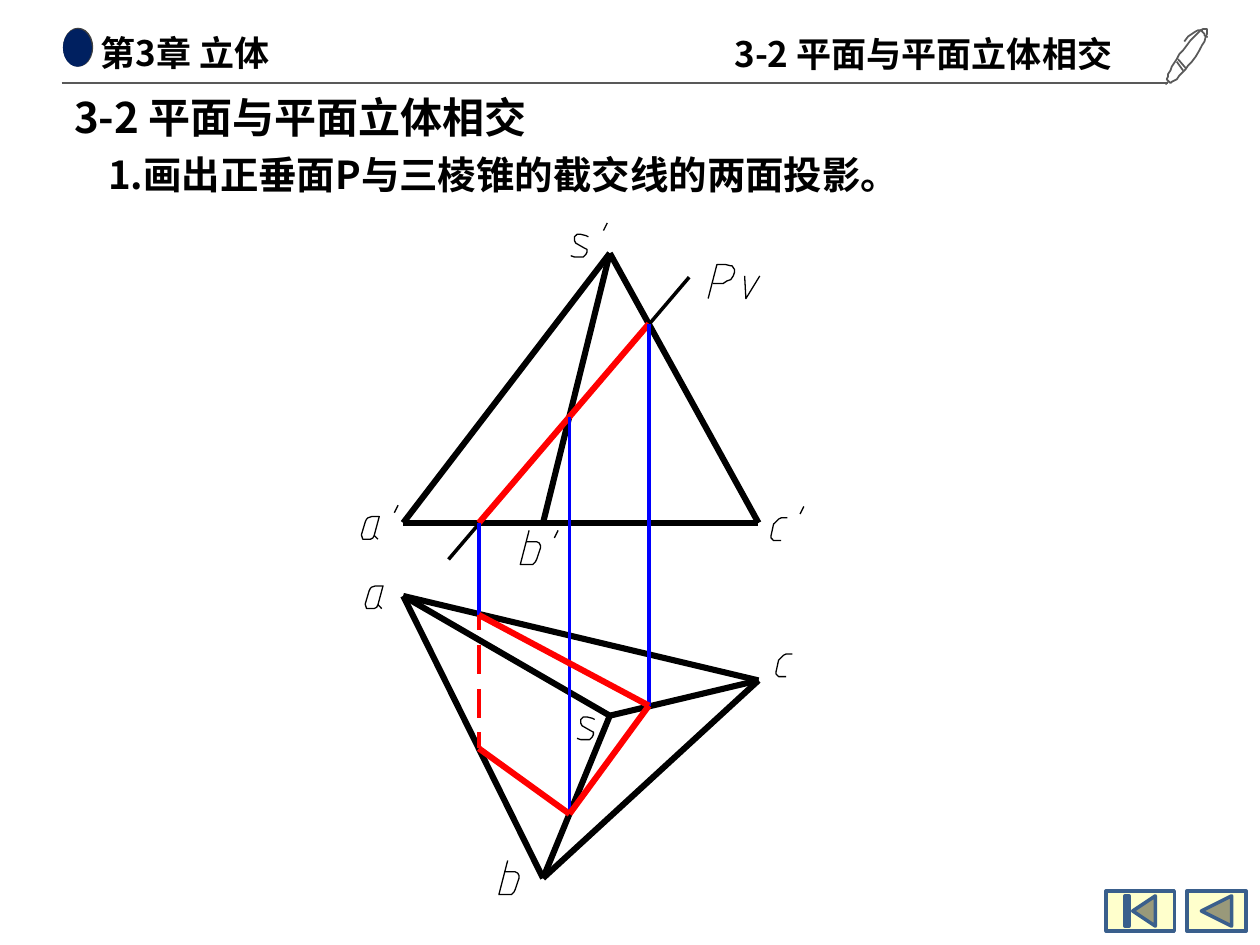
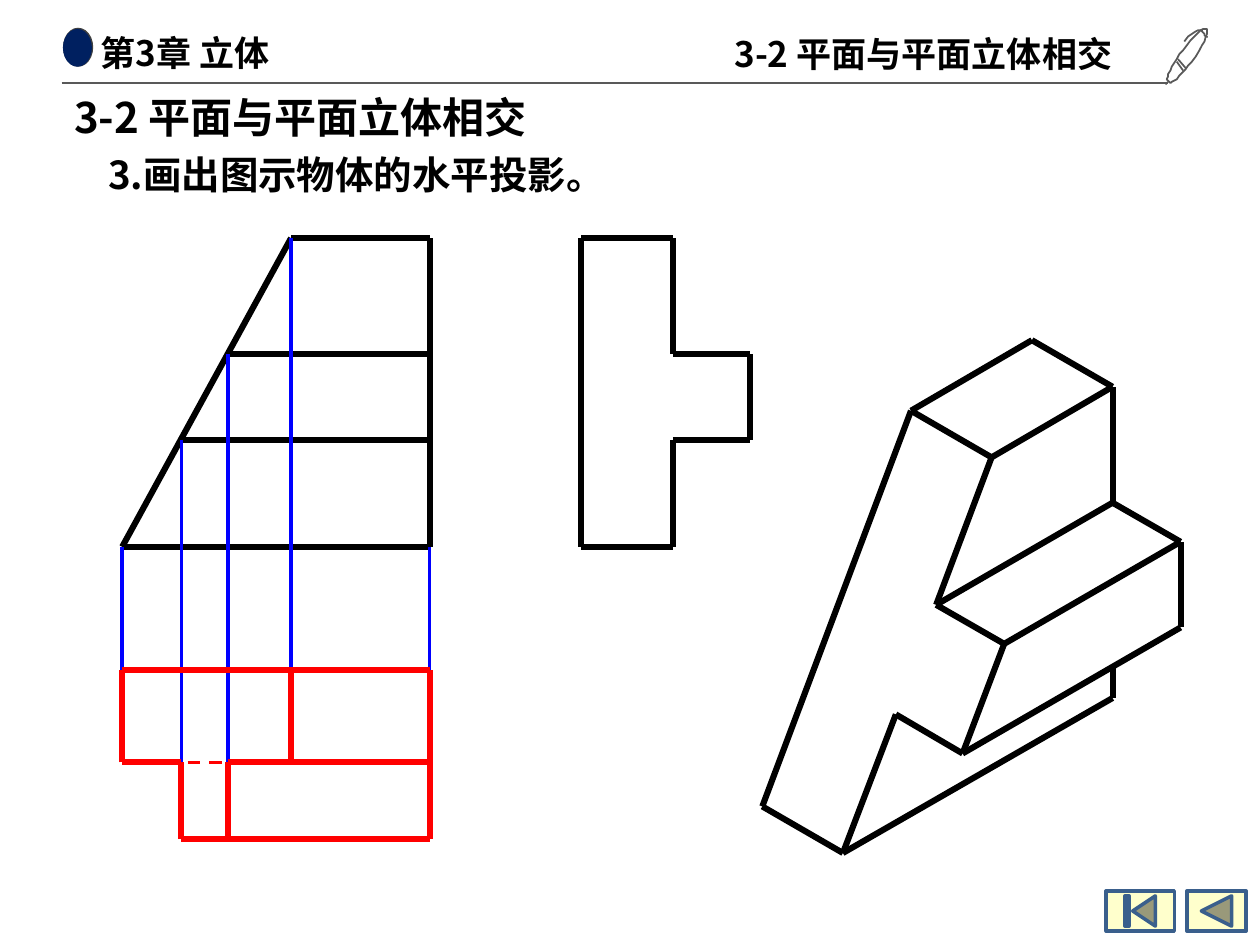
from itertools import pairwise
from lxml import etree
from pptx import Presentation
from pptx import util as u
from pptx.dml.color import RGBColor
from pptx.enum import shapes, text
from pptx.oxml.ns import qn

PX = 9144
FONT = "Noto Sans CJK SC"
COLOURS = {
    "ink": "000000", "cut": "FF0000", "projection": "0000FF", "rule": "595959",
    "dot": "002060", "dot_rim": "404040", "button": "FFFFCC", "button_edge": "3A5F8C",
}
THICK, HAIR = 3.5, 0

CHAPTER = "第3章 立体"
SECTION = "3-2 平面与平面立体相交"
BUTTONS = [
    (shapes.MSO_SHAPE.ACTION_BUTTON_BACK_OR_PREVIOUS, (942, 707, 47, 32)),
    (shapes.MSO_SHAPE.ACTION_BUTTON_BEGINNING, (878, 707, 54, 32)),
]
PEN = [
    [(939, 56), (934, 49)],
    [(935, 47), (941, 54)],
    [(958, 23), (956, 21), (948, 28), (939, 40), (932, 49), (927, 58), (926, 63),
     (929, 66), (929, 66), (929, 66), (932, 65), (939, 58), (946, 49),
     (955, 37), (960, 26), (958, 23)],
    [(927, 65), (925, 67)],
    [(958, 30), (958, 30), (955, 27), (954, 24), (954, 24), (950, 21), (940, 33)],
]
GLYPHS = {
    "a": [(13, 18), (10, 15), (14, 0), (8, 0), (5, 1), (4, 2), (3, 4), (0, 14), (0, 15),
          (1, 18), (3, 18), (5, 18), (7, 18), (9, 17), (10, 15)],
    "b": [(7, 0), (0, 27), (6, 27), (10, 27), (12, 25), (13, 23), (16, 14), (16, 12),
          (15, 10), (13, 9), (5, 9)],
    "c": [(13, 0), (8, 0), (6, 1), (4, 3), (2, 5), (0, 14), (0, 16), (1, 17), (2, 18), (8, 18)],
    "s": [(0, 17), (3, 18), (7, 18), (10, 18), (12, 16), (13, 14), (13, 12), (11, 11),
          (4, 7), (3, 5), (3, 4), (3, 2), (5, 0), (8, 0), (12, 1), (14, 2)],
    "P": [(0, 27), (7, 0), (14, 0), (18, 1), (19, 1), (21, 4), (21, 6), (20, 9),
          (18, 12), (15, 13), (12, 15), (4, 15)],
    "v": [(0, 0), (1, 18), (12, 0)],
    "'": [(0, 6), (3, 0)],
}

PYRAMID = {
    "s'": (484, 201), "a'": (320, 415), "b'": (431, 415), "c'": (602, 415),
    "s": (484, 568), "a": (320, 473), "b": (431, 697), "c": (602, 540),
    "1'": (380, 415), "2'": (452, 331), "3'": (515, 257),
    "1": (380, 488), "2": (452, 646), "3": (515, 560), "4": (380, 594),
    "trace top": (547, 220), "trace foot": (356, 444),
}
PYRAMID_LINES = [
    ("ink", THICK, ["a'", "c'", "s'", "a'"]),
    ("ink", THICK, ["s'", "b'"]),
    ("ink", HAIR, ["trace top", "trace foot"]),
    ("ink", THICK, ["a", "c", "b", "a", "s", "c"]),
    ("ink", THICK, ["s", "b"]),
    ("cut", THICK, ["1'", "3'"]),
    ("projection", HAIR, ["1'", "1"]),
    ("projection", HAIR, ["2'", "2"]),
    ("projection", HAIR, ["3'", "3"]),
    ("cut", THICK, ["1", "3", "2", "4"]),
]
HIDDEN_CUT = [(488, 500), (512, 535), (547, 570), (581, 594)]
PYRAMID_LABELS = [
    ("a", 287, 410), ("'", 313, 401), ("b", 413, 421), ("'", 440, 421),
    ("s", 453, 186), ("'", 479, 177), ("P", 562, 210), ("v", 591, 219),
    ("c", 612, 411), ("'", 635, 402), ("a", 290, 465), ("s", 458, 569),
    ("c", 616, 519), ("b", 396, 683),
]

X_FOOT, X_LOW, X_HIGH, X_TOP, X_BACK = 97, 144, 181, 231, 341
Y_TOP, Y_HIGH, Y_LOW, Y_FOOT = 189, 281, 349, 434
Y_PLAN, Y_STEP, Y_FRONT = 532, 605, 666
SIDE_BACK, SIDE_FACE, SIDE_FRONT = 461, 534, 595

BLOCK_SOLID = [
    [(819, 270), (883, 307), (787, 363), (723, 326), (819, 270)],
    [(883, 307), (883, 399), (937, 430), (937, 498), (764, 598), (711, 567), (669, 677)],
    [(883, 529), (883, 554), (669, 677), (605, 640), (723, 326)],
    [(787, 363), (743, 480), (797, 511), (764, 598)],
    [(883, 399), (743, 480)],
    [(797, 511), (937, 430)],
]
BLOCK_VIEWS = [
    [(X_FOOT, Y_FOOT), (X_BACK, Y_FOOT), (X_BACK, Y_TOP), (X_TOP, Y_TOP), (X_FOOT, Y_FOOT)],
    [(X_BACK, Y_LOW), (X_LOW, Y_LOW)],
    [(X_BACK, Y_HIGH), (X_HIGH, Y_HIGH)],
    [(SIDE_BACK, Y_TOP), (SIDE_BACK, Y_FOOT), (SIDE_FACE, Y_FOOT), (SIDE_FACE, Y_LOW),
     (SIDE_FRONT, Y_LOW), (SIDE_FRONT, Y_HIGH), (SIDE_FACE, Y_HIGH), (SIDE_FACE, Y_TOP),
     (SIDE_BACK, Y_TOP)],
]
BLOCK_PROJECTIONS = [
    (X_TOP, Y_TOP, Y_PLAN), (X_HIGH, Y_HIGH, Y_STEP), (X_LOW, Y_LOW, Y_STEP),
    (X_BACK, Y_FOOT, Y_PLAN), (X_FOOT, Y_FOOT, Y_PLAN),
]
BLOCK_PLAN = [
    [(X_LOW, Y_STEP), (X_FOOT, Y_STEP), (X_FOOT, Y_PLAN), (X_BACK, Y_PLAN),
     (X_BACK, Y_FRONT), (X_LOW, Y_FRONT), (X_LOW, Y_STEP)],
    [(X_BACK, Y_STEP), (X_HIGH, Y_STEP), (X_HIGH, Y_FRONT)],
    [(X_TOP, Y_PLAN), (X_TOP, Y_STEP)],
]
HIDDEN_STEP = [(149, 159), (166, 176)]


def colour(name):
    return RGBColor.from_string(COLOURS[name])


def style_line(line, name, width):
    line.color.rgb = colour(name)
    line.width = u.Pt(width)


def add_path(page, name, width, points):
    for start, end in pairwise(points):
        line = page.shapes.add_connector(
            shapes.MSO_CONNECTOR.STRAIGHT, *(value * PX for value in start + end))
        etree.SubElement(line._element.spPr, qn("a:effectLst"))
        style_line(line.line, name, width)


def add_outline(page, name, width, strokes):
    builder = page.shapes.build_freeform(*strokes[0][0], scale=PX)
    for index, stroke in enumerate(strokes):
        if index:
            builder.move_to(*stroke[0])
        builder.add_line_segments(stroke[1:], close=False)
    outline = builder.convert_to_shape()
    outline.shadow.inherit = False
    outline.fill.background()
    style_line(outline.line, name, width)


def smooth(points, steps=8):
    if len(points) < 4:
        return points
    curve = [points[0]]
    for first in range(0, len(points) - 1, 3):
        a, b, c, d = points[first:first + 4]
        for step in range(1, steps + 1):
            t = step / steps
            weights = ((1 - t) ** 3, 3 * t * (1 - t) ** 2, 3 * t * t * (1 - t), t ** 3)
            curve.append(tuple(sum(w * p[axis] for w, p in zip(weights, (a, b, c, d)))
                               for axis in (0, 1)))
    return curve


def add_shape(page, kind, place, fill, edge=None):
    shape = page.shapes.add_shape(kind, *(value * PX for value in place))
    shape.shadow.inherit = False
    shape.fill.solid()
    shape.fill.fore_color.rgb = colour(fill)
    if edge:
        style_line(shape.line, edge, 2)
    else:
        shape.line.fill.background()


def add_text(page, words, place, size, insets=(10, 5)):
    box = page.shapes.add_textbox(*(value * PX for value in place))
    frame = box.text_frame
    across, down = (value * PX for value in insets)
    settings = {
        "word_wrap": True, "auto_size": text.MSO_AUTO_SIZE.SHAPE_TO_FIT_TEXT,
        "margin_left": across, "margin_right": across,
        "margin_top": down, "margin_bottom": down,
    }
    for key, value in settings.items():
        setattr(frame, key, value)
    span = frame.paragraphs[0].add_run()
    span.text = words
    for key, value in {"name": FONT, "size": u.Pt(size), "bold": True}.items():
        setattr(span.font, key, value)
    span.font.color.rgb = colour("ink")
    etree.SubElement(span._r.get_or_add_rPr(), qn("a:ea"), typeface=FONT)


def add_page(deck, exercise):
    page = deck.slides.add_slide(deck.slide_layouts[6])
    add_shape(page, shapes.MSO_SHAPE.OVAL, (50, 22, 24, 31), "dot_rim")
    add_shape(page, shapes.MSO_SHAPE.OVAL, (50, 23, 23, 30), "dot")
    add_text(page, CHAPTER, (73, 21, 372, 41), 20, (7, 4))
    add_path(page, "rule", 0.75, [(49, 66), (927, 66)])
    add_outline(page, "rule", 1, [smooth(stroke) for stroke in PEN])
    add_text(page, SECTION, (49, 68, 829, 50), 24)
    add_text(page, exercise, (76, 115, 899, 50), 22)
    add_text(page, SECTION, (573, 21, 331, 44), 20)
    for kind, place in BUTTONS:
        add_shape(page, kind, place, "button", "button_edge")
    return page


def draw_pyramid(page):
    for name, width, corners in PYRAMID_LINES:
        add_path(page, name, width, [PYRAMID[corner] for corner in corners])
    x = PYRAMID["1"][0]
    for top, bottom in HIDDEN_CUT:
        add_path(page, "cut", HAIR, [(x, top), (x, bottom)])
    for letter, left, top in PYRAMID_LABELS:
        add_outline(page, "ink", HAIR, [[(left + x, top + y) for x, y in GLYPHS[letter]]])


def draw_block(page):
    for points in BLOCK_SOLID + BLOCK_VIEWS:
        add_path(page, "ink", THICK, points)
    for x, top, bottom in BLOCK_PROJECTIONS:
        add_path(page, "projection", HAIR, [(x, top), (x, bottom)])
    for points in BLOCK_PLAN:
        add_path(page, "cut", THICK, points)
    for left, right in HIDDEN_STEP:
        add_path(page, "cut", HAIR, [(left, Y_STEP), (right, Y_STEP)])


def main():
    deck = Presentation()
    deck.slide_width, deck.slide_height = 1000 * PX, 750 * PX
    draw_pyramid(add_page(deck, "1.画出正垂面P与三棱锥的截交线的两面投影。"))
    draw_block(add_page(deck, "3.画出图示物体的水平投影。"))
    deck.save("out.pptx")


if __name__ == "__main__":
    main()
